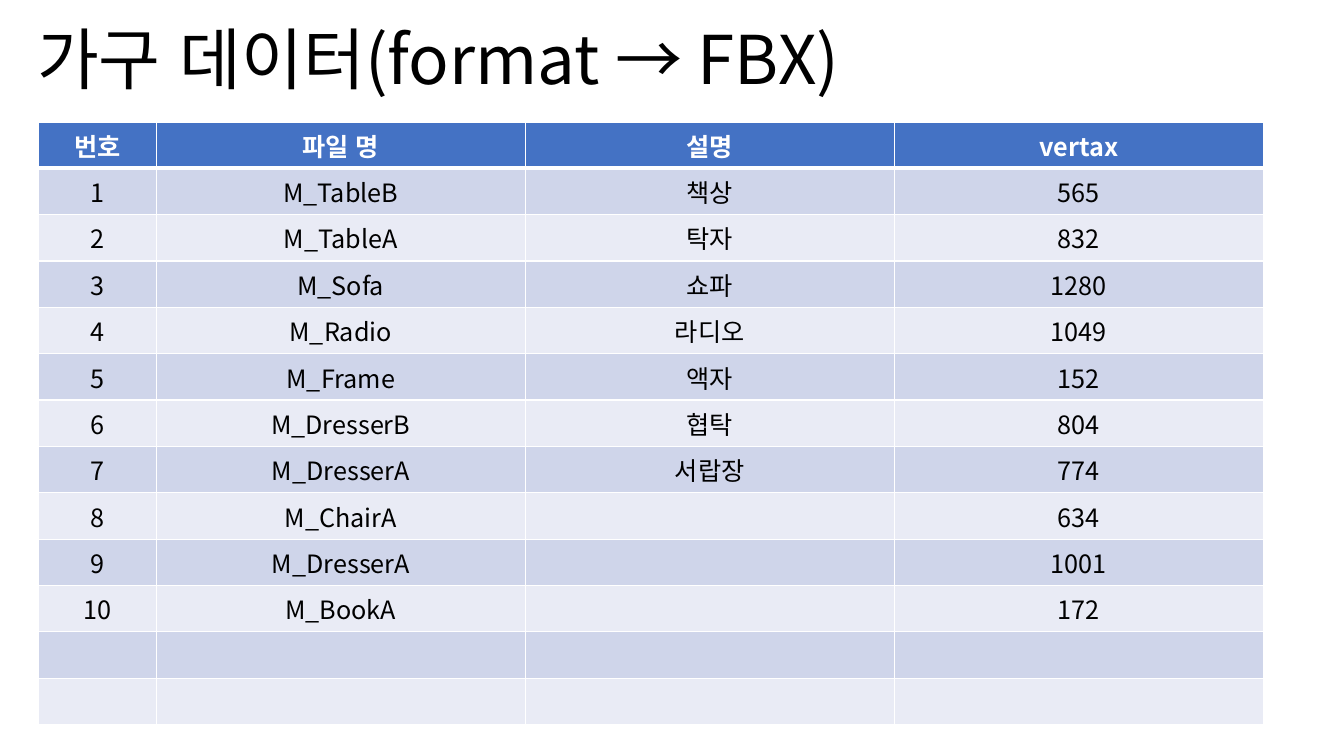
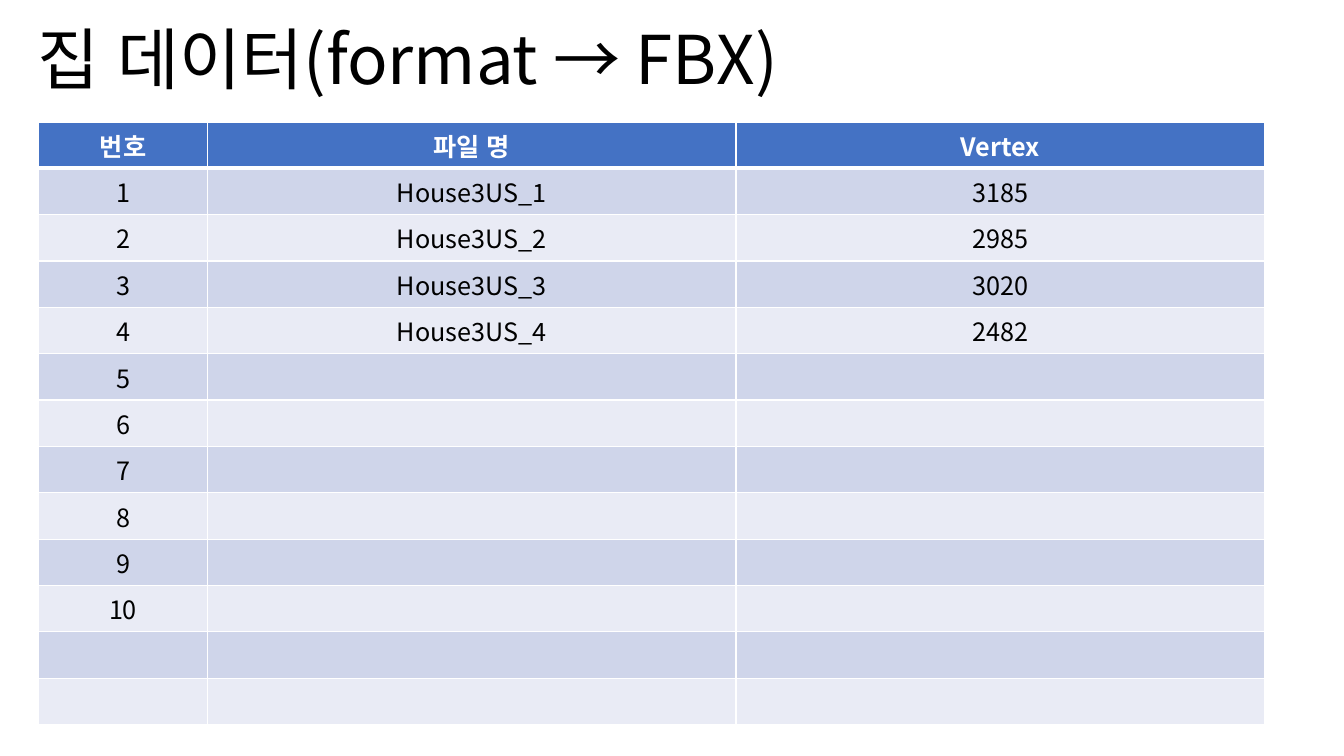
"""Builds two slides that list furniture and house model files in tables."""
from lxml.etree import SubElement
from pptx import Presentation
from pptx.dml.color import RGBColor
from pptx.enum.lang import MSO_LANGUAGE_ID as Language
from pptx.enum.text import MSO_ANCHOR, PP_ALIGN
from pptx.oxml.ns import qn
from pptx.util import Inches, Pt

FONT = "Noto Sans CJK KR"
BLACK, WHITE, HEADER_BLUE = "000000", "FFFFFF", "4472C4"
BANDS = ("CFD5EA", "E9EBF5")
BODY_ROWS = 12
ROW_HEIGHT = 0.46
TABLE_LEFT, TABLE_TOP = 0.38, 1.21

SLIDES = [
    {
        "title": "가구 데이터(format → FBX)",
        "header": ("번호", "파일 명", "설명", "vertax"),
        "widths": (1.17, 3.66, 3.66, 3.66),
        "rows": [
            ("M_TableB", "책상", "565"),
            ("M_TableA", "탁자", "832"),
            ("M_Sofa", "쇼파", "1280"),
            ("M_Radio", "라디오", "1049"),
            ("M_Frame", "액자", "152"),
            ("M_DresserB", "협탁", "804"),
            ("M_DresserA", "서랍장", "774"),
            ("M_ChairA", "", "634"),
            ("M_DresserA", "", "1001"),
            ("M_BookA", "", "172"),
        ],
    },
    {
        "title": "집 데이터(format → FBX)",
        "header": ("번호", "파일 명", "Vertex"),
        "widths": (1.68, 5.24, 5.24),
        "rows": [
            ("House3US_1", "3185"),
            ("House3US_2", "2985"),
            ("House3US_3", "3020"),
            ("House3US_4", "2482"),
        ] + [("", "")] * 6,
    },
]


def color(hex_code):
    return RGBColor.from_string(hex_code)


def write_text(paragraph, text, size, hex_code, bold=False):
    paragraph.text = text
    font = paragraph.font
    font.name, font.size, font.bold = FONT, Pt(size), bold
    font.color.rgb = color(hex_code)
    for run in paragraph.runs:
        run.font.language_id = Language.KOREAN
        SubElement(run.font._element, qn("a:ea"), typeface=FONT)


def add_borders(cell, top, bottom):
    properties = cell._tc.get_or_add_tcPr()
    for side, width in (("L", 1), ("R", 1), ("T", top), ("B", bottom)):
        line = SubElement(properties, qn(f"a:ln{side}"), w=str(Pt(width)))
        fill = SubElement(line, qn("a:solidFill"))
        SubElement(fill, qn("a:srgbClr"), val=WHITE)


def add_title(slide, text):
    box = slide.shapes.add_textbox(Inches(0.27), Inches(0.17), Inches(11.5), Inches(0.86))
    frame = box.text_frame
    frame.word_wrap = True
    frame.vertical_anchor = MSO_ANCHOR.BOTTOM
    paragraph = frame.paragraphs[0]
    paragraph.line_spacing = 0.9
    write_text(paragraph, text, 48, BLACK)


def add_file_table(slide, header, widths, rows):
    numbered = [(str(number), *row) for number, row in enumerate(rows, 1)]
    blanks = [("",) * len(header)] * (BODY_ROWS - len(rows))
    grid = [header, *numbered, *blanks]
    table = slide.shapes.add_table(
        len(grid), len(header), Inches(TABLE_LEFT), Inches(TABLE_TOP),
        Inches(sum(widths)), Inches(ROW_HEIGHT * len(grid))).table
    for column, width in zip(table.columns, widths):
        column.width = Inches(width)
    for row_index, values in enumerate(grid):
        table.rows[row_index].height = Inches(ROW_HEIGHT)
        is_header = row_index == 0
        fill = HEADER_BLUE if is_header else BANDS[(row_index - 1) % 2]
        for column_index, value in enumerate(values):
            cell = table.cell(row_index, column_index)
            add_borders(cell, 3 if row_index == 1 else 1, 3 if is_header else 1)
            cell.fill.solid()
            cell.fill.fore_color.rgb = color(fill)
            if value:
                paragraph = cell.text_frame.paragraphs[0]
                paragraph.alignment = PP_ALIGN.CENTER
                write_text(paragraph, value, 18, WHITE if is_header else BLACK, is_header)


def main():
    presentation = Presentation()
    presentation.slide_width, presentation.slide_height = Inches(13.33), Inches(7.5)
    for content in SLIDES:
        slide = presentation.slides.add_slide(presentation.slide_layouts[6])
        add_title(slide, content["title"])
        add_file_table(slide, content["header"], content["widths"], content["rows"])
    presentation.save("out.pptx")


if __name__ == "__main__":
    main()
